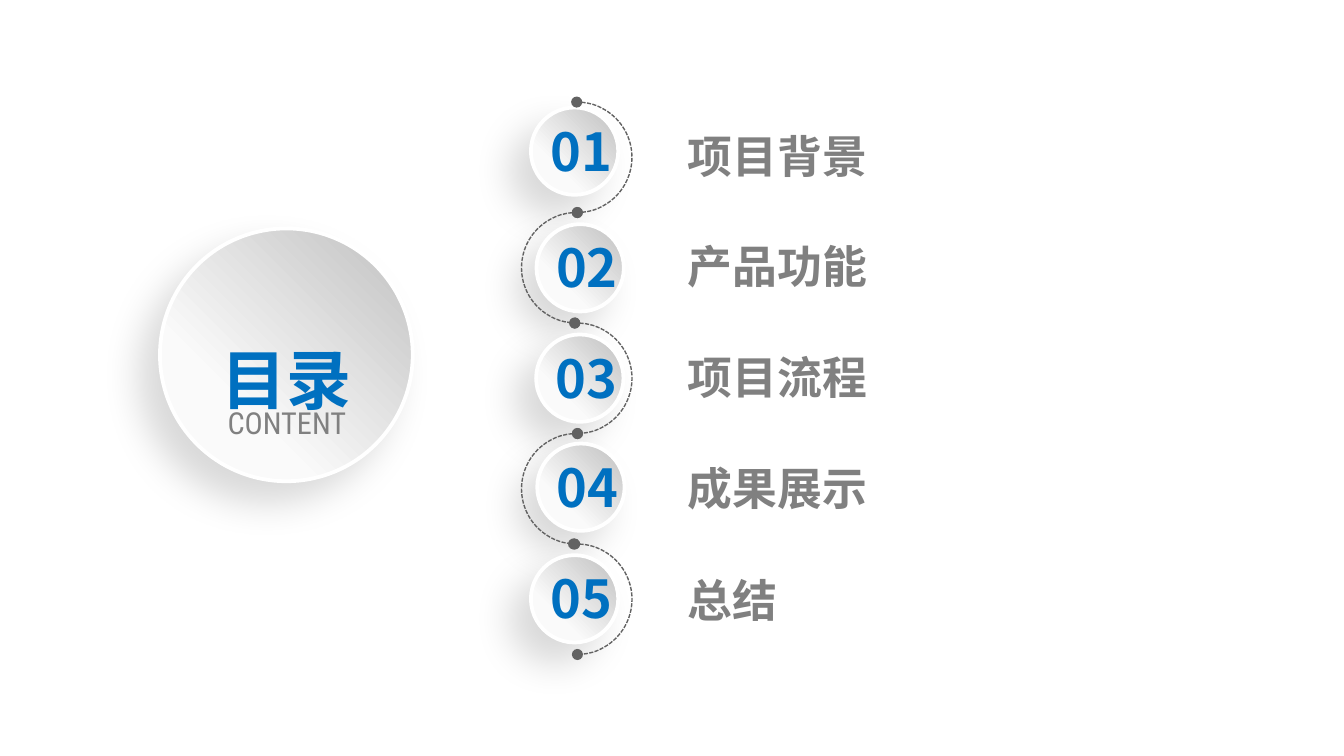
import pptx
import pptx.util
import pptx.dml.color
import pptx.enum.dml
import pptx.enum.shapes
import pptx.enum.text
import pptx.oxml
import pptx.oxml.ns

Pt = pptx.util.Pt
SHAPE = pptx.enum.shapes.MSO_SHAPE
ALIGN = pptx.enum.text.PP_ALIGN
ANCHOR = pptx.enum.text.MSO_ANCHOR
NS = pptx.oxml.ns.nsdecls("a")
CJK = "Noto Sans CJK SC"
BLUE, GREY, DARK, WHITE = "0070C0", "808080", "626262", "FFFFFF"

GRADIENT = f"""<a:gradFill {NS} rotWithShape="1"><a:gsLst>
<a:gs pos="0"><a:srgbClr val="FFFFFF"/></a:gs>
<a:gs pos="0"><a:srgbClr val="BFBFBF"/></a:gs>
<a:gs pos="70000"><a:srgbClr val="FAFAFA"/></a:gs>
</a:gsLst><a:lin ang="8100000" scaled="0"/></a:gradFill>"""
SHADOW = f"""<a:effectLst {NS}><a:outerShdw blurRad="254000" dist="190500"
dir="8100000" algn="tr" rotWithShape="0"><a:srgbClr val="000000">
<a:alpha val="15000"/></a:srgbClr></a:outerShdw></a:effectLst>"""

prs = pptx.Presentation()
prs.slide_width, prs.slide_height = Pt(720), Pt(405)
s = prs.slides.add_slide(prs.slide_layouts[6])


def add_shape(kind, x, y, size, color, width):
    """Add a square-framed shape without fill or shadow, with a coloured line."""
    sp = s.shapes.add_shape(kind, Pt(x), Pt(y), Pt(size), Pt(size))
    sp.shadow.inherit = False
    sp.fill.background()
    sp.line.color.rgb = pptx.dml.color.RGBColor.from_string(color)
    sp.line.width = Pt(width)
    if kind == SHAPE.OVAL:
        pr = sp.element.spPr
        pr.replace(pr.find(pptx.oxml.ns.qn("a:noFill")), pptx.oxml.parse_xml(GRADIENT))
        pr.replace(pr.find(pptx.oxml.ns.qn("a:effectLst")), pptx.oxml.parse_xml(SHADOW))
    return sp


def add_text(text, x, y, w, h, size, color, centred=True, spacing=None,
             name=CJK, bold=True, baseline=None):
    """Add a one-line text box that does not wrap."""
    tf = s.shapes.add_textbox(Pt(x), Pt(y), Pt(w), Pt(h)).text_frame
    frame = {"word_wrap": False,
             "auto_size": pptx.enum.text.MSO_AUTO_SIZE.SHAPE_TO_FIT_TEXT,
             "vertical_anchor": ANCHOR.MIDDLE if centred else ANCHOR.TOP}
    for key, value in frame.items():
        setattr(tf, key, value)
    p = tf.paragraphs[0]
    p.alignment = ALIGN.CENTER if centred else ALIGN.LEFT
    p.line_spacing = spacing
    r = p.add_run()
    r.text = text
    for key, value in {"size": Pt(size), "bold": bold, "name": name}.items():
        setattr(r.font, key, value)
    r.font.color.rgb = pptx.dml.color.RGBColor.from_string(color)
    rpr = r.font._element
    rpr.append(pptx.oxml.parse_xml(f'<a:ea {NS} typeface="{name}"/>'))
    if baseline:
        rpr.set("baseline", str(baseline * 1000))


# Title disc
add_shape(SHAPE.OVAL, 85.7, 122.4, 135.4, WHITE, 2)

# Discs first, so that the winding line runs over their shadows
# number, title, disc left, disc top, title top, title width
items = [("01", "项目背景", 284.4, 57.6, 65.5, 110.2),
         ("02", "产品功能", 287.4, 120.1, 124.6, 110.2),
         ("03", "项目流程", 287.2, 179.2, 183.6, 110.2),
         ("04", "成果展示", 287.8, 237.6, 243.4, 110.2),
         ("05", "总结", 284.4, 297.4, 303.1, 62.6)]
for number, title, x, y, title_y, title_w in items:
    add_shape(SHAPE.OVAL, x, y, 46.8, WHITE, 2)

# Winding line of half circles, turned left and right by turns
ARC = 59.2
arc_angles = [(162, 53.57), (161.69, 52.82), (160.73, 53.57),
              (161.53, 52.02), (160.73, 53.57)]
for i, angles in enumerate(arc_angles):
    sp = add_shape(SHAPE.ARC, 279.4, 54.7 + i * ARC, ARC, DARK, 0.75)
    sp.adjustments[0], sp.adjustments[1] = angles
    sp.line.dash_style = pptx.enum.dml.MSO_LINE.SQUARE_DOT
    for end in ("headEnd", "tailEnd"):
        sp.line._ln.append(pptx.oxml.parse_xml(f'<a:{end} {NS} type="oval"/>'))
    if i % 2:
        sp.element.spPr.xfrm.set("flipH", "1")

# Wording
add_text("目录", 105.8, 146.2, 95, 71.3, 60, BLUE, spacing=1.5, baseline=12)
add_text("CONTENT", 113, 198, 81.4, 36.7, 28, GREY, spacing=1.5,
         name="Roboto Condensed", bold=False, baseline=12)
for number, title, x, y, title_y, title_w in items:
    add_text(number, x + 2.2, y + 2.5, 49.7, 41, 28, BLUE)
    add_text(title, 361.4, title_y, title_w, 36, 24, GREY, centred=False)

prs.save("out.pptx")
